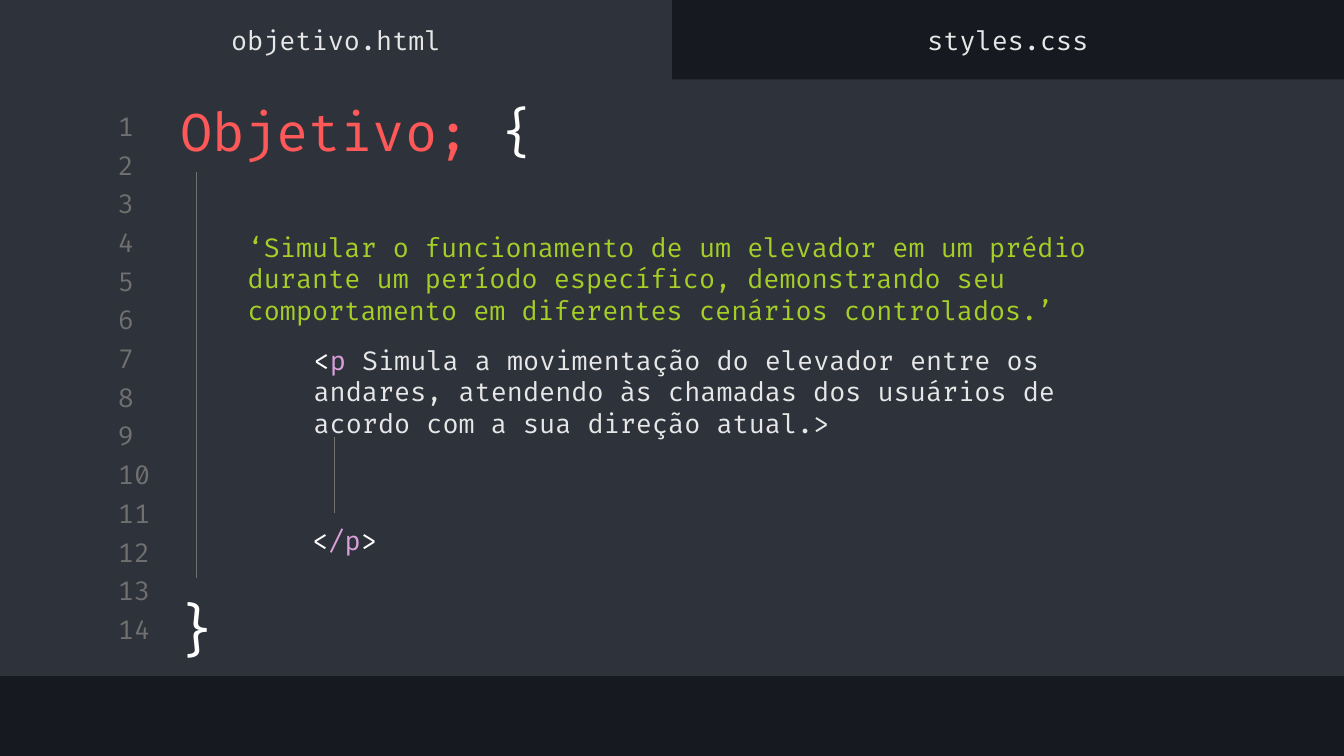
from dataclasses import dataclass

from lxml.etree import SubElement
from pptx import Presentation
from pptx.dml.color import RGBColor
from pptx.enum.shapes import MSO_CONNECTOR, MSO_SHAPE
from pptx.enum.text import MSO_ANCHOR, MSO_AUTO_SIZE, PP_ALIGN
from pptx.oxml.ns import qn
from pptx.util import Inches, Pt


@dataclass(frozen=True)
class Theme:
    font: str = "Fira Code"
    frame: str = "16191F"
    editor: str = "2E323B"
    muted: str = "707070"
    heading: str = "FF5858"
    string: str = "A5CF27"
    tag: str = "DBA0DB"
    plain: str = "E7E7E7"
    bracket: str = "FFFFFF"
    code_size: int = 14
    title_size: int = 28
    brace_size: int = 30


theme = Theme()
COLUMN = ROW = Inches(0.1)
COLUMNS, ROWS = 100, 56.25


def span(left, top, width, height):
    return (round(left * COLUMN), round(top * ROW),
            round(width * COLUMN), round(height * ROW))


def write(frame, paragraphs, size=theme.code_size, align=PP_ALIGN.LEFT,
          anchor=MSO_ANCHOR.MIDDLE):
    frame.word_wrap = True
    frame.auto_size = MSO_AUTO_SIZE.NONE
    frame.vertical_anchor = anchor
    frame.margin_left = frame.margin_right = COLUMN
    frame.margin_top = frame.margin_bottom = ROW
    for index, parts in enumerate(paragraphs):
        paragraph = frame.add_paragraph() if index else frame.paragraphs[0]
        paragraph.alignment = align
        for words, color in parts:
            run = paragraph.add_run()
            run.text = words
            run.font.name = theme.font
            run.font.size = Pt(size)
            run.font.color.rgb = RGBColor.from_string(color)


deck = Presentation()
deck.slide_width = COLUMNS * COLUMN
deck.slide_height = round(ROWS * ROW)
slide = deck.slides.add_slide(deck.slide_layouts[5])
slide.background.fill.solid()
slide.background.fill.fore_color.rgb = RGBColor.from_string(theme.frame)
shapes = slide.shapes

for area in [(0, 5.9, COLUMNS, 44.4), (0, 0, COLUMNS / 2, 6.5)]:
    panel = shapes.add_shape(MSO_SHAPE.RECTANGLE, *span(*area))
    panel.shadow.inherit = False
    panel.fill.solid()
    panel.fill.fore_color.rgb = RGBColor.from_string(theme.editor)
    panel.line.fill.background()

for line in range(14):
    number = shapes.add_textbox(*span(7.8, 8.17 + line * 2.88, 4.7, 2.4))
    write(number.text_frame, [[(str(line + 1), theme.muted)]])

title = shapes.title
number._element.addnext(title._element)
title.left, title.top, title.width, title.height = span(12.4, 6.8, 44.2, 5.8)
write(title.text_frame, [[("Objetivo; ", theme.heading), ("{", theme.bracket)]],
      theme.title_size)

goal = shapes.add_textbox(*span(17.45, 17.22, 64.9, 15.4)).text_frame
write(goal, [
    [("‘Simular o funcionamento de um elevador em um prédio durante um período "
      "específico, demonstrando seu comportamento em diferentes cenários "
      "controlados.’", theme.string)],
    [("<", theme.bracket), ("p ", theme.tag),
     ("Simula a movimentação do elevador entre os andares, atendendo às chamadas "
      "dos usuários de acordo com a sua direção atual.>", theme.plain)],
])
detail = goal.paragraphs[1]
detail.space_before = Pt(10)
detail._p.get_or_add_pPr().set("marL", str(Inches(0.49)))

for column, start, end in [(14.6, 12.8, 43), (24.9, 32.5, 38.2)]:
    left, top, right, bottom = span(column, start, column, end)
    guide = shapes.add_connector(MSO_CONNECTOR.STRAIGHT, left, top, right, bottom)
    guide.line.color.rgb = RGBColor.from_string(theme.muted)
    guide.line.width = Pt(0.75)
    SubElement(guide._element.spPr, qn("a:effectLst"))

closing_brace = shapes.add_textbox(*span(11.9, 43.2, 5.5, 7.1))
write(closing_brace.text_frame, [[("}", theme.bracket)]], theme.brace_size,
      PP_ALIGN.CENTER, MSO_ANCHOR.TOP)

closing_tag = shapes.add_textbox(*span(22, 38, 7.3, 4.4))
write(closing_tag.text_frame,
      [[("<", theme.bracket), ("/p", theme.tag), (">", theme.bracket)]],
      align=PP_ALIGN.CENTER, anchor=MSO_ANCHOR.TOP)

for tab, file_name in enumerate(["objetivo.html", "styles.css"]):
    label = shapes.add_textbox(*span(tab * COLUMNS / 2, 1, COLUMNS / 2, 3.9))
    write(label.text_frame, [[(file_name, theme.plain)]], align=PP_ALIGN.CENTER)

deck.save("out.pptx")
